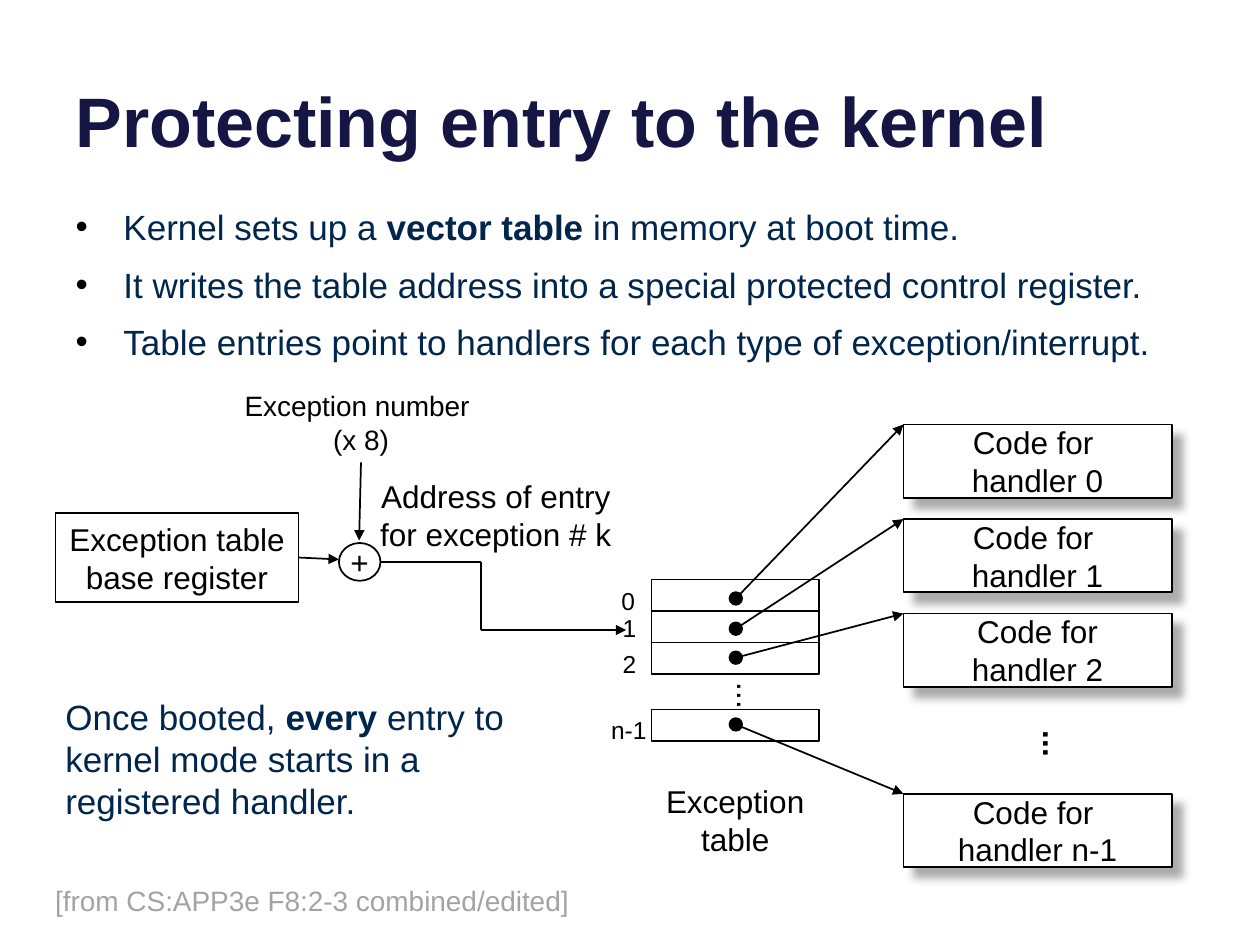
from lxml import etree
from pptx import Presentation
from pptx.dml.color import RGBColor
from pptx.enum.shapes import MSO_CONNECTOR, MSO_SHAPE
from pptx.enum.text import MSO_ANCHOR as ANCHOR, MSO_AUTO_SIZE as AUTO_SIZE, PP_ALIGN as ALIGN
from pptx.oxml.ns import qn
from pptx.util import Inches, Pt

BLACK = RGBColor(0x00, 0x00, 0x00)
WHITE = RGBColor(0xFF, 0xFF, 0xFF)
TITLE_BLUE = RGBColor(0x16, 0x16, 0x45)
TEXT_BLUE = RGBColor(0x00, 0x26, 0x4D)
GREY = RGBColor(0xA3, 0xA3, 0xA3)
FONT = "Arial"

# Content: a paragraph is a list of (text, bold) runs
TITLE = "Protecting entry to the kernel"
BULLETS = [
    [("Kernel sets up a ", False), ("vector table", True), (" in memory at boot time.", False)],
    [("It writes the table address into a special protected control register.", False)],
    [("Table entries point to handlers for each type of exception/interrupt.", False)],
]
CONCLUSION = [("Once booted, ", False), ("every", True),
              (" entry to kernel mode starts in a registered handler.", False)]
SOURCE = "[from CS:APP3e F8:2-3 combined/edited]"

# Table entries: label, row top, label box (left, top, width), dot top, handler top, handler text
ENTRIES = [
    ("0", 4.6, (4.83, 4.6, 0.31), 4.7, 3.37, "Code for "),
    ("1", 4.85, (4.84, 4.82, 0.31), 4.94, 4.12, "Code for "),
    ("2", 5.1, (4.84, 5.1, 0.31), 5.17, 4.87, "Code for"),
    ("n-1", 5.63, (4.75, 5.63, 0.48), 5.7, 6.3, "Code for "),
]
ROW_LEFT, ROW_WIDTH, ROW_HEIGHT = 5.17, 1.33, 0.25
DOT = 0.1
HANDLER_LEFT, HANDLER_WIDTH, HANDLER_HEIGHT = 7.17, 2.13, 0.58

presentation = Presentation()
presentation.slide_width, presentation.slide_height = Inches(10), Inches(7.5)
slide = presentation.slides.add_slide(presentation.slide_layouts[1])


def place(shape, left, top, width, height):
    shape.left, shape.top = Inches(left), Inches(top)
    shape.width, shape.height = Inches(width), Inches(height)


def add_runs(paragraph, runs, size, color):
    for text, bold in runs:
        run = paragraph.add_run()
        run.text = text
        font = run.font
        font.name, font.size, font.bold = FONT, Pt(size), bold
        font.color.rgb = color


def fill_text(shape, lines, size=18, color=BLACK, bold=False, align=ALIGN.CENTER,
              anchor=ANCHOR.MIDDLE):
    frame = shape.text_frame
    frame.word_wrap = False
    frame.vertical_anchor = anchor
    for index, line in enumerate(lines):
        paragraph = frame.paragraphs[0] if index == 0 else frame.add_paragraph()
        paragraph.alignment = align
        add_runs(paragraph, [(line, bold)], size, color)


def add_label(box, lines, **style):
    label = slide.shapes.add_textbox(*map(Inches, box))
    fill_text(label, lines, **style)
    label.text_frame.auto_size = AUTO_SIZE.SHAPE_TO_FIT_TEXT
    return label


def add_outlined(kind, box, lines=(), size=18, fill=WHITE, outlined=True):
    shape = slide.shapes.add_shape(kind, *map(Inches, box))
    shape.shadow.inherit = False
    shape.fill.solid()
    shape.fill.fore_color.rgb = fill
    if outlined:
        shape.line.color.rgb = BLACK
        shape.line.width = Pt(1)
    else:
        shape.line.fill.background()
    fill_text(shape, lines, size)
    return shape


def add_shadow(shape):
    effects = shape._element.spPr.find(qn("a:effectLst"))
    shadow = etree.SubElement(effects, qn("a:outerShdw"), blurRad=str(Pt(5)),
                              dist=str(Pt(8.5)), dir=str(45 * 60000), rotWithShape="0")
    color = etree.SubElement(shadow, qn("a:srgbClr"), val="919191")
    etree.SubElement(color, qn("a:alpha"), val="75000")


def add_line(start, end, arrow=True):
    line = slide.shapes.add_connector(MSO_CONNECTOR.STRAIGHT, *map(Inches, start + end))
    line.line.color.rgb = BLACK
    line.line.width = Pt(1)
    if arrow:
        etree.SubElement(line.line._get_or_add_ln(), qn("a:tailEnd"), type="triangle")
    etree.SubElement(line._element.spPr, qn("a:effectLst"))
    return line


def add_dots(box, bold=False):
    label = add_label(box, ["..."], bold=bold)
    label.text_frame._txBody.bodyPr.set("vert", "eaVert")


# Title and bullet list
title, body = slide.shapes.title, slide.placeholders[1]
place(title, 0.5, -0.37, 9, 1.7)
fill_text(title, [TITLE], 40, TITLE_BLUE, True, ALIGN.LEFT, ANCHOR.BOTTOM)
title.text_frame.word_wrap = True

place(body, 0.5, 1.58, 9, 1.42)
body.text_frame.auto_size = AUTO_SIZE.NONE
for index, runs in enumerate(BULLETS):
    paragraph = body.text_frame.paragraphs[0] if index == 0 else body.text_frame.add_paragraph()
    properties = paragraph._p.get_or_add_pPr()
    properties.set("marL", str(Inches(0.38)))
    properties.set("indent", str(-Inches(0.38)))
    bullet_color = etree.SubElement(properties, qn("a:buClr"))
    etree.SubElement(bullet_color, qn("a:srgbClr"), val="000000")
    etree.SubElement(properties, qn("a:buChar"), char="•")
    paragraph.space_before = Pt(9 if index else 0)
    add_runs(paragraph, runs, 20, TEXT_BLUE)

# Exception table and handlers
for name, row_top, (left, top, width), dot_top, handler_top, heading in ENTRIES:
    add_outlined(MSO_SHAPE.RECTANGLE, (ROW_LEFT, row_top, ROW_WIDTH, ROW_HEIGHT))
    add_label((left, top, width, 0.33), [name], size=14)
    handler = add_outlined(MSO_SHAPE.RECTANGLE,
                           (HANDLER_LEFT, handler_top, HANDLER_WIDTH, HANDLER_HEIGHT),
                           [heading, f"handler {name}"])
    add_shadow(handler)
for name, row_top, label_box, dot_top, handler_top, heading in ENTRIES:
    add_outlined(MSO_SHAPE.OVAL, (5.79, dot_top, DOT, DOT), fill=BLACK)
    add_line((5.84, dot_top + DOT / 2), (HANDLER_LEFT, handler_top))
add_dots((5.65, 5.32, 0.6, 0.38))
add_dots((8.08, 5.7, 0.6, 0.38), bold=True)
add_label((5.18, 6.16, 1.31, 0.7), ["Exception", "table"], anchor=ANCHOR.TOP)

# Address calculation
register = add_outlined(MSO_SHAPE.RECTANGLE, (0.44, 4.07, 1.93, 0.71),
                        ["Exception table", "base register"])
add_line((2.37, 4.44), (2.69, 4.44)).begin_connect(register, 3)
add_outlined(MSO_SHAPE.OVAL, (2.69, 4.31, 0.33, 0.3), ["+"])
number = add_outlined(MSO_SHAPE.RECTANGLE, (1.84, 3.03, 2.05, 0.64),
                      ["Exception number ", "(x 8)"], size=16, outlined=False)
add_line((2.85, 3.67), (2.85, 4.29)).begin_connect(number, 2)
route = [(3.02, 4.46), (3.82, 4.46), (3.82, 5), (4.97, 5)]
for start, end in zip(route, route[1:]):
    add_line(start, end, arrow=end == route[-1])
add_label((2.91, 3.73, 2.05, 0.71), ["Address of entry", "for exception # k"])

# Source and conclusion
add_label((0.34, 6.96, 4.33, 0.37), [SOURCE], size=16, color=GREY, align=ALIGN.LEFT,
          anchor=ANCHOR.TOP)
conclusion = slide.shapes.add_textbox(*map(Inches, (0.42, 5.47, 3.75, 1.11)))
conclusion.text_frame.word_wrap = True
add_runs(conclusion.text_frame.paragraphs[0], CONCLUSION, 20, TEXT_BLUE)

presentation.save("out.pptx")
